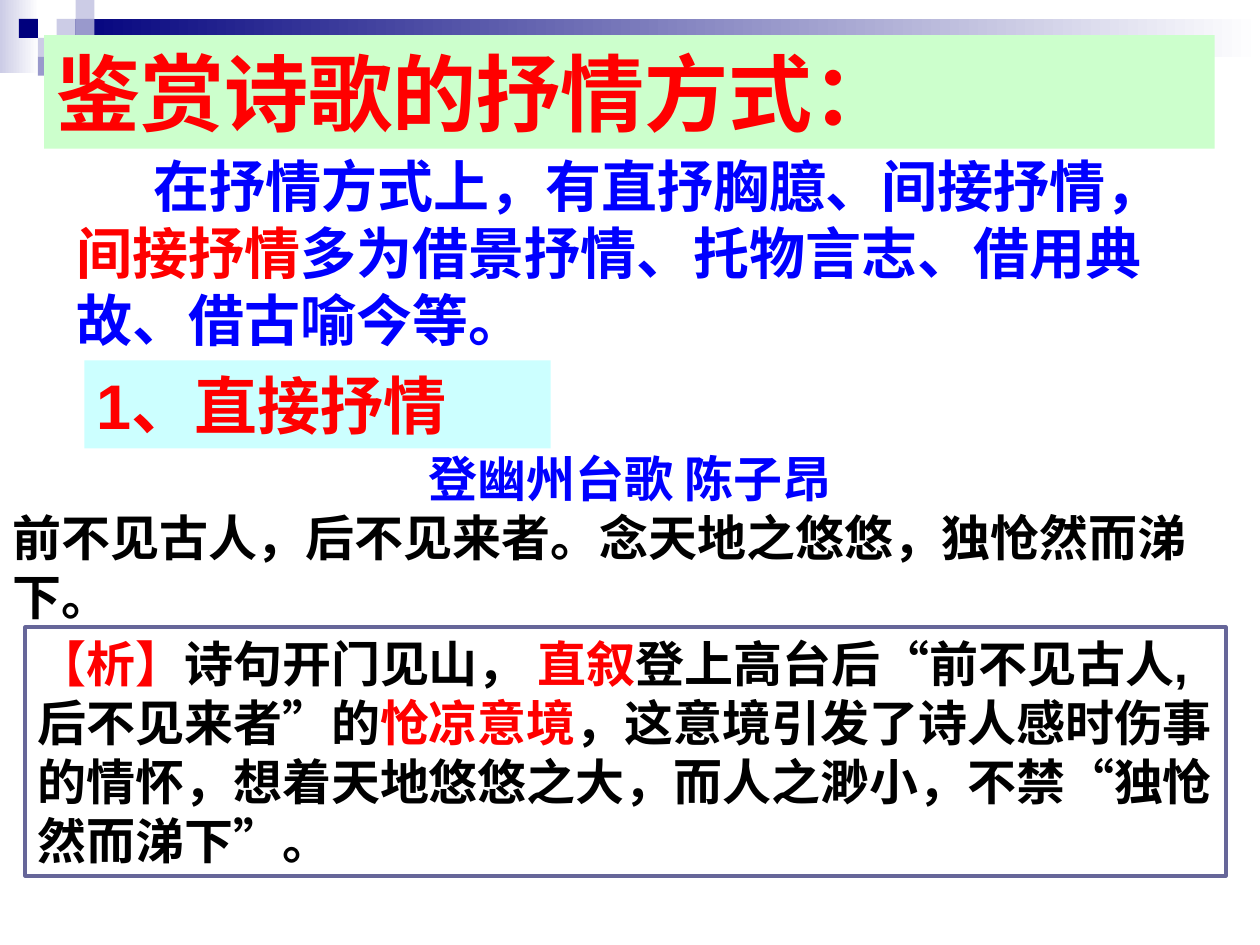
from pptx import Presentation, util as u
from pptx.dml.color import RGBColor
from pptx.enum import shapes, text

NAVY = RGBColor(0x00, 0x00, 0x7D)
LAVENDER = RGBColor(0xCC, 0xCC, 0xE6)
PERIWINKLE = RGBColor(0x99, 0x99, 0xCC)
SLATE = RGBColor(0x66, 0x66, 0x99)
MINT = RGBColor(0xCC, 0xFF, 0xCC)
AQUA = RGBColor(0xCC, 0xFF, 0xFF)
WHITE = RGBColor(0xFF, 0xFF, 0xFF)
BLACK = RGBColor(0x00, 0x00, 0x00)
RED = RGBColor(0xFF, 0x00, 0x00)
BLUE = RGBColor(0x00, 0x00, 0xFF)

UNIT = 0.15  # side of one square of the corner mosaic, inches
MOSAIC = [  # column, row, colour
    (3, 1, LAVENDER), (4, 0, LAVENDER), (4, 1, PERIWINKLE), (2, 2, LAVENDER),
    (1, 1, NAVY), (3, 2, PERIWINKLE), (2, 3, PERIWINKLE),
]


def add_rect(s, box, fill=None, line=None):
    sp = s.shapes.add_shape(shapes.MSO_SHAPE.RECTANGLE, *map(u.Inches, box))
    sp.shadow.inherit = False
    if fill is None:
        sp.fill.background()
    else:
        sp.fill.solid()
        sp.fill.fore_color.rgb = fill
    if line is None:
        sp.line.fill.background()
    else:
        sp.line.color.rgb = line
        sp.line.width = u.Pt(2.25)
    return sp


def add_fade(s, box, start):
    """Rectangle fading from a colour on the left to white."""
    fill = add_rect(s, box).fill
    fill.gradient()
    fill.gradient_angle = 0
    for stop, color in zip(fill.gradient_stops, (start, WHITE)):
        stop.color.rgb = color


def add_textbox(s, box):
    return s.shapes.add_textbox(*map(u.Inches, box))


def write(sp, size, *paragraphs, aligns=(), indent=0):
    """Fill a shape with paragraphs, each a list of (text, colour) runs."""
    tf = sp.text_frame
    tf.word_wrap = True
    tf.vertical_anchor = text.MSO_ANCHOR.TOP
    for i, runs in enumerate(paragraphs):
        p = tf.paragraphs[0] if i == 0 else tf.add_paragraph()
        p.alignment = aligns[i] if aligns else text.PP_ALIGN.LEFT
        pPr = p._p.get_or_add_pPr()
        pPr.set("hangingPunct", "0")  # keep punctuation inside the margin
        if indent:
            pPr.set("indent", str(u.Inches(indent)))
        p.font.name, p.font.size, p.font.bold = "Arial", u.Pt(size), True
        for words, color in runs:
            r = p.add_run()
            r.text = words
            r.font.color.rgb = color


def add_decoration(s):
    add_fade(s, (0, 0, 0.31, 0.58), LAVENDER)
    add_fade(s, (3 * UNIT, UNIT, 10 - 3 * UNIT, 2 * UNIT), NAVY)
    for col, row, color in MOSAIC:
        add_rect(s, (col * UNIT, row * UNIT, UNIT, UNIT), color)


def main():
    prs = Presentation()
    prs.slide_width, prs.slide_height = u.Inches(10), u.Inches(7.5)
    s = prs.slides.add_slide(prs.slide_layouts[6])
    add_decoration(s)

    write(add_rect(s, (0.35, 0.28, 9.29, 0.9), MINT), 48,
          [("鉴赏诗歌的抒情方式：", RED)])
    write(add_textbox(s, (0.51, 1.15, 9.13, 1.7)), 32,
          [("在抒情方式上，有直抒胸臆、间接抒情，", BLUE),
           ("间接抒情", RED),
           ("多为借景抒情、托物言志、借用典故、借古喻今等。", BLUE)],
          indent=0.61)
    write(add_rect(s, (0.67, 2.86, 3.7, 0.7), AQUA), 36,
          [("1、直接抒情", RED)])
    write(add_textbox(s, (0, 3.51, 10, 1.04)), 28,
          [("登幽州台歌 陈子昂", BLUE)],
          [("前不见古人，后不见来者。念天地之悠悠，独怆然而涕下。", BLACK)],
          aligns=(text.PP_ALIGN.CENTER, text.PP_ALIGN.LEFT))
    write(add_rect(s, (0.2, 4.98, 9.53, 1.97), line=SLATE), 28,
          [("【析】", RED),
           ("诗句开门见山， ", BLACK),
           ("直叙", RED),
           ("登上高台后“前不见古人,后不见来者”的", BLACK),
           ("怆凉意境", RED),
           ("，这意境引发了诗人感时伤事的情怀，想着天地悠悠之大，"
            "而人之渺小，不禁“独怆然而涕下”。", BLACK)])
    prs.save("out.pptx")


if __name__ == "__main__":
    main()
